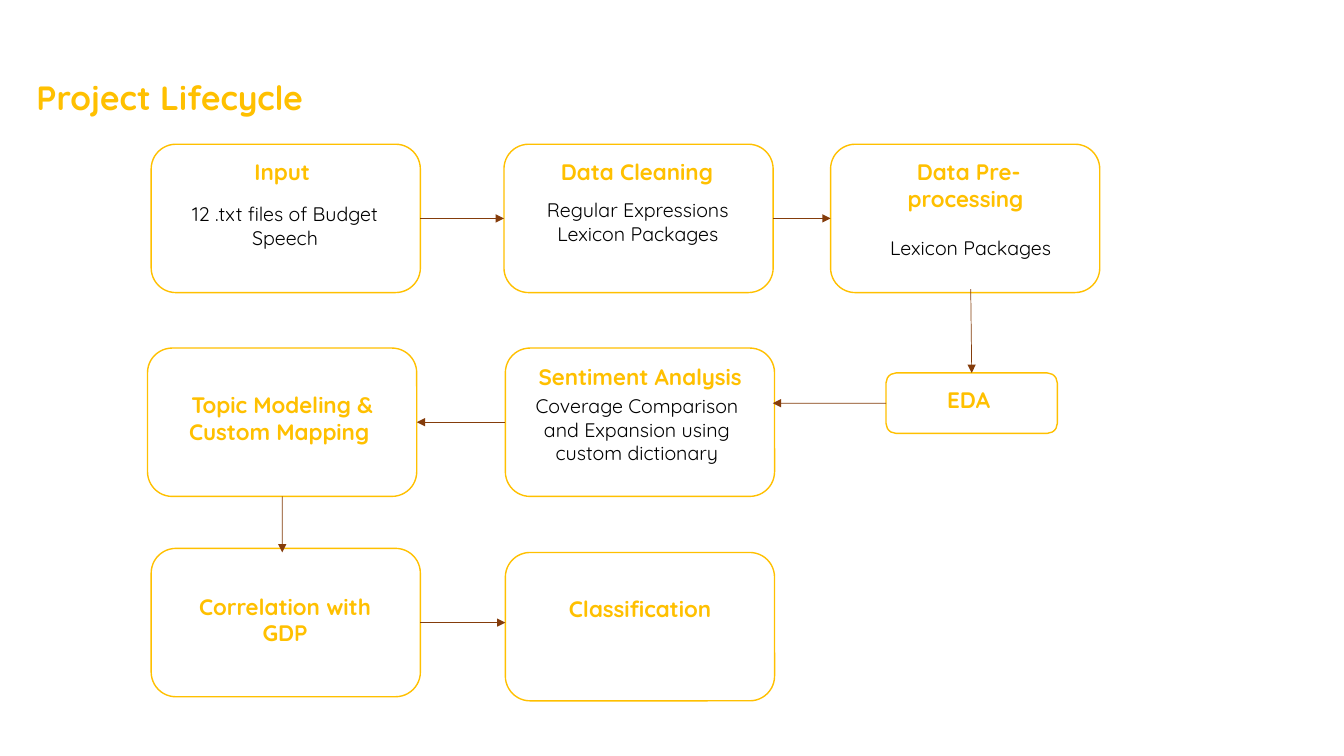
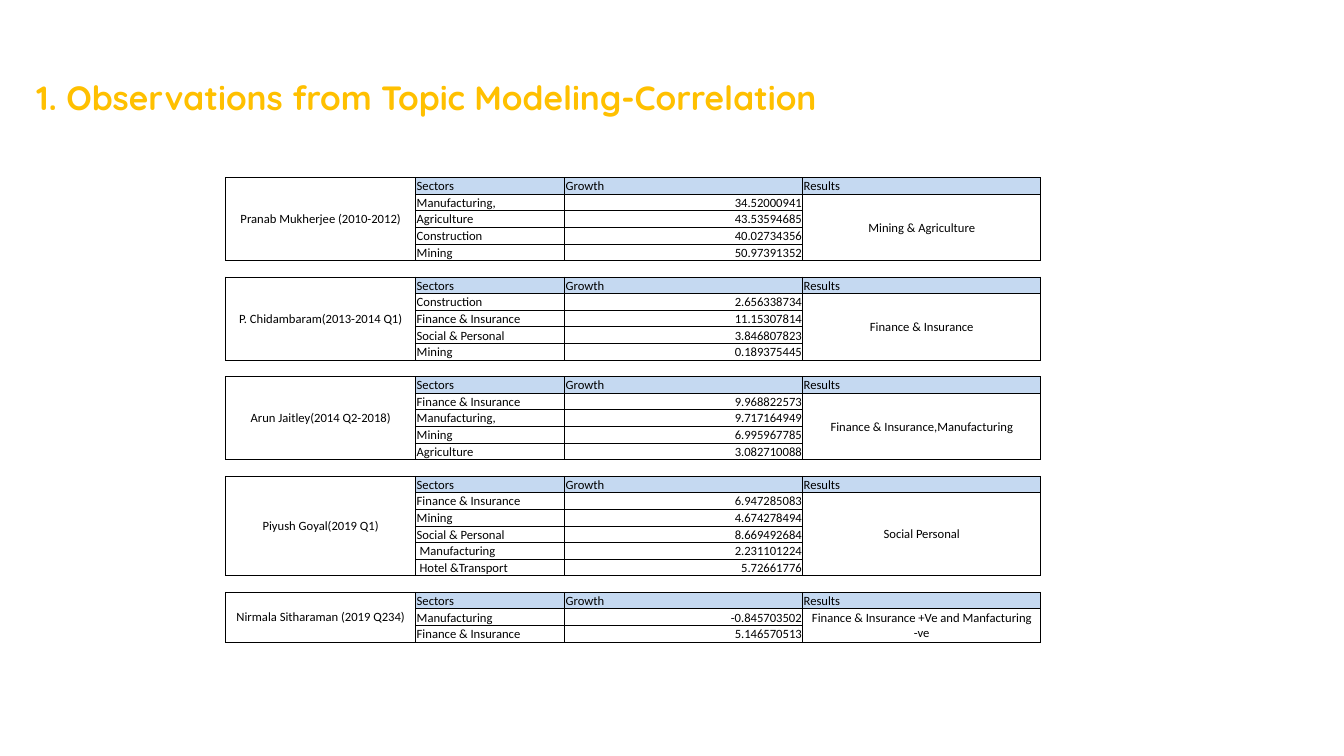
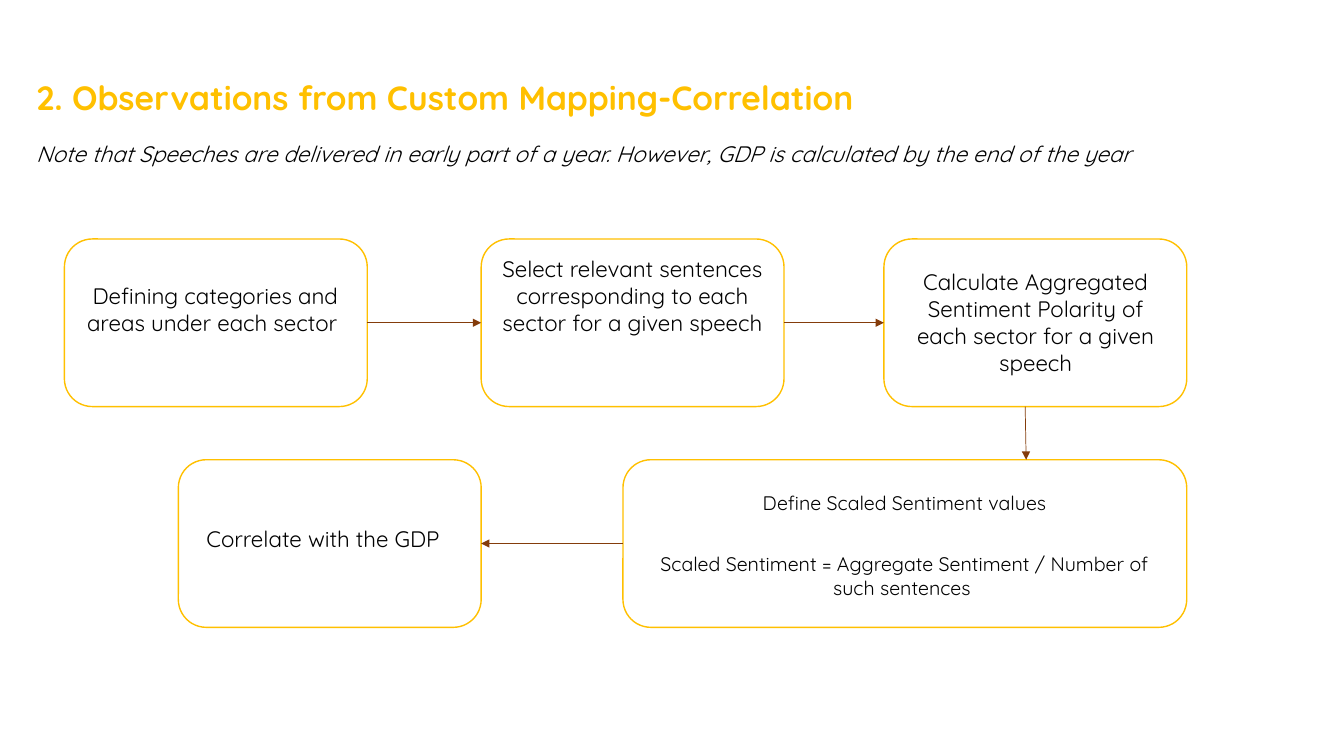
from dataclasses import dataclass

from lxml.etree import SubElement
from pptx import Presentation
from pptx.dml.color import RGBColor
from pptx.enum.shapes import MSO_CONNECTOR, MSO_SHAPE
from pptx.enum.text import MSO_ANCHOR, MSO_AUTO_SIZE, PP_ALIGN
from pptx.oxml.ns import qn
from pptx.util import Pt


@dataclass(frozen=True)
class Theme:
    gold: RGBColor = RGBColor(0xFF, 0xC0, 0x00)
    brown: RGBColor = RGBColor(0x84, 0x3C, 0x0B)
    black: RGBColor = RGBColor(0, 0, 0)
    header_blue: RGBColor = RGBColor(0xC5, 0xD9, 0xF1)
    font: str = "Quicksand"
    table_font: str = "Calibri"
    title_size: int = 24
    heading_size: int = 16
    body_size: int = 14
    table_size: int = 9


THEME = Theme()
TOP, LEFT, BOTTOM, RIGHT = range(4)  # connection sites of a box


class Deck:
    """Holds the style and the current slide."""

    def __init__(self, theme):
        self.theme = theme
        self.presentation = Presentation()
        self.presentation.slide_width = Pt(960)
        self.presentation.slide_height = Pt(540)
        self.slide = None

    def style(self, paragraph, size, color, align=PP_ALIGN.LEFT, bold=False,
              italic=False, font=None):
        paragraph.alignment = align
        paragraph.font.name = font or self.theme.font
        paragraph.font.size = Pt(size)
        paragraph.font.bold = bold
        paragraph.font.italic = italic
        paragraph.font.color.rgb = color

    def new_slide(self, heading):
        self.slide = self.presentation.slides.add_slide(
            self.presentation.slide_layouts[5])
        title = self.slide.shapes.title
        title.left, title.top, title.width, title.height = map(
            Pt, (18.7, 36.7, 732, 45.4))
        title.text_frame.text = heading
        title.text_frame.vertical_anchor = MSO_ANCHOR.TOP
        title.text_frame.auto_size = MSO_AUTO_SIZE.SHAPE_TO_FIT_TEXT
        paragraph = title.text_frame.paragraphs[0]
        paragraph.line_spacing = 1.5
        self.style(paragraph, self.theme.title_size, self.theme.gold, bold=True)

    def box(self, left, top, width, height):
        box = self.slide.shapes.add_shape(
            MSO_SHAPE.ROUNDED_RECTANGLE, *map(Pt, (left, top, width, height)))
        box.shadow.inherit = False
        box.fill.background()
        box.line.color.rgb = self.theme.gold
        box.line.width = Pt(1)
        return box

    def label(self, text, left, top, width, height, size, color=None,
              align=PP_ALIGN.CENTER, **emphasis):
        frame = self.slide.shapes.add_textbox(
            *map(Pt, (left, top, width, height))).text_frame
        frame.word_wrap = True
        frame.auto_size = MSO_AUTO_SIZE.SHAPE_TO_FIT_TEXT
        frame.text = text
        for paragraph in frame.paragraphs:
            self.style(paragraph, size, color or self.theme.black, align, **emphasis)

    def arrow(self, start, end):
        """Each end is either (box, site) or a point (x, y)."""
        arrow = self.slide.shapes.add_connector(MSO_CONNECTOR.STRAIGHT, 0, 0, 0, 0)
        if hasattr(start[0], "left"):
            arrow.begin_connect(*start)
        else:
            arrow.begin_x, arrow.begin_y = map(Pt, start)
        if hasattr(end[0], "left"):
            arrow.end_connect(*end)
        else:
            arrow.end_x, arrow.end_y = map(Pt, end)
        arrow.line.color.rgb = self.theme.brown
        arrow.line.width = Pt(0.5)
        SubElement(arrow.line._get_or_add_ln(), qn("a:tailEnd"), type="triangle")
        SubElement(arrow._element.spPr, qn("a:effectLst"))

    def table(self, left, top, widths, row_height, row_count):
        table = self.slide.shapes.add_table(
            row_count, len(widths), Pt(left), Pt(top), Pt(sum(widths)),
            Pt(row_height * row_count)).table
        table.first_row = table.horz_banding = False
        for column, width in zip(table.columns, widths):
            column.width = Pt(width)
        for row in table.rows:
            row.height = Pt(row_height)
            for cell in row.cells:
                self.cell(cell, sides="TB")
        return table

    def cell(self, cell, text="", align=PP_ALIGN.LEFT, anchor=MSO_ANCHOR.BOTTOM,
             fill=None, sides="LRTB"):
        cell.margin_left = cell.margin_right = cell.margin_top = Pt(0.7)
        cell.margin_bottom = 0
        cell.vertical_anchor = anchor
        self.borders(cell, sides)
        if fill:
            cell.fill.solid()
            cell.fill.fore_color.rgb = fill
        else:
            cell.fill.background()
        cell.text = text
        paragraph = cell.text_frame.paragraphs[0]
        self.style(paragraph, self.theme.table_size, self.theme.black, align,
                   font=self.theme.table_font)
        if not text:  # keeps an empty row as low as the others
            end_mark = paragraph._p.get_or_add_endParaRPr()
            end_mark.set("sz", str(self.theme.table_size * 100))

    def borders(self, cell, sides):
        properties = cell._tc.get_or_add_tcPr()
        for child in list(properties):
            properties.remove(child)
        for side in "LRTB":
            line = SubElement(properties, qn(f"a:ln{side}"), w=str(Pt(0.5)))
            if side in sides:
                paint = SubElement(line, qn("a:solidFill"))
                SubElement(paint, qn("a:srgbClr"), val=str(self.theme.black))
            else:
                SubElement(line, qn("a:noFill"))


# Project lifecycle: box, heading and body as (text, left, top, height)
STAGE_W, STAGE_H, STAGE_TEXT_W = 192.3, 106, 161.3
STAGES = {
    "input": ((108, 103, STAGE_W, STAGE_H),
              ("Input", 121, 109.4, 26.6),
              ("12 .txt files of Budget Speech", 123, 141, 41)),
    "cleaning": ((360, 103, STAGE_W, STAGE_H),
                 ("Data Cleaning ", 376.6, 109.4, 26.6),
                 ("Regular Expressions\nLexicon Packages", 375, 138.2, 41)),
    "preprocessing": ((593.3, 103, STAGE_W, STAGE_H),
                      ("Data Pre-processing ", 611.3, 109.4, 46),
                      ("Lexicon Packages", 612.7, 164.9, 24.5)),
    "eda": ((632.9, 266.4, 122.4, 43.2),
            ("EDA", 611.3, 272.2, 26.6), None),
    "sentiment": ((361, 248.6, STAGE_W, STAGE_H),
                  ("Sentiment Analysis", 376.6, 255.6, 26.6),
                  ("Coverage Comparison and Expansion using custom dictionary",
                   374.4, 277.9, 75)),
    "topics": ((105.4, 248.6, STAGE_W, STAGE_H),
               ("Topic Modeling & Custom Mapping ", 121, 275.8, 46), None),
    "correlation": ((108, 391.7, STAGE_W, STAGE_H),
                    ("Correlation with GDP", 123, 419.8, 46), None),
    "classification": ((361, 394.6, STAGE_W, STAGE_H),
                       ("Classification", 376.6, 421.9, 26.6), None),
}


def lifecycle_slide(deck):
    deck.new_slide("Project Lifecycle")
    stage = {}
    for name, (place, heading, body) in STAGES.items():
        stage[name] = deck.box(*place)
        text, left, top, height = heading
        deck.label(text, left, top, STAGE_TEXT_W, height,
                   THEME.heading_size, THEME.gold, bold=True)
        if body:
            text, left, top, height = body
            deck.label(text, left, top, STAGE_TEXT_W, height, THEME.body_size)

    for start, end in (
        ((stage["input"], RIGHT), (stage["cleaning"], LEFT)),
        ((stage["cleaning"], RIGHT), (stage["preprocessing"], LEFT)),
        ((693.4, 206.6), (stage["eda"], TOP)),
        ((stage["eda"], LEFT), (552, 288)),
        ((stage["sentiment"], LEFT), (stage["topics"], RIGHT)),
        ((stage["topics"], BOTTOM), (201.6, 394.6)),
        ((stage["correlation"], RIGHT), (361, 444.7)),
    ):
        deck.arrow(start, end)


# Topic modeling: speaker, result and growth by sector
SPEECHES = [
    ("Pranab Mukherjee (2010-2012)", "Mining & Agriculture",
     [("Manufacturing,", "34.52000941"), ("Agriculture", "43.53594685"),
      ("Construction", "40.02734356"), ("Mining", "50.97391352")]),
    ("P. Chidambaram(2013-2014 Q1)", "Finance & Insurance",
     [("Construction", "2.656338734"), ("Finance & Insurance", "11.15307814"),
      ("Social & Personal", "3.846807823"), ("Mining", "0.189375445")]),
    ("Arun Jaitley(2014 Q2-2018)", "Finance & Insurance,Manufacturing",
     [("Finance & Insurance", "9.968822573"), ("Manufacturing,", "9.717164949"),
      ("Mining", "6.995967785"), ("Agriculture", "3.082710088")]),
    ("Piyush Goyal(2019 Q1)", "Social Personal",
     [("Finance & Insurance", "6.947285083"), ("Mining", "4.674278494"),
      ("Social & Personal", "8.669492684"), (" Manufacturing", "2.231101224"),
      (" Hotel &Transport", "5.72661776")]),
    ("Nirmala Sitharaman (2019 Q234)",
     "Finance & Insurance +Ve and Manfacturing -ve",
     [("Manufacturing", "-0.845703502"), ("Finance & Insurance", "5.146570513")]),
]


def topic_slide(deck):
    deck.new_slide("1. Observations from Topic Modeling-Correlation")
    # One header row per speech and one empty row between speeches
    row_count = sum(len(sectors) + 2 for _, _, sectors in SPEECHES) - 1
    table = deck.table(161, 126.8, (136, 106.4, 170, 170), 11.86, row_count)
    centred = {"align": PP_ALIGN.CENTER, "anchor": MSO_ANCHOR.MIDDLE}
    header = 0
    for speaker, result, sectors in SPEECHES:
        last = header + len(sectors)
        for row in range(header, last + 1):
            for column in (0, 3):
                deck.cell(table.cell(row, column))
        for column, name in enumerate(("Sectors", "Growth", "Results"), 1):
            deck.cell(table.cell(header, column), name, fill=THEME.header_blue)
        for row, (sector, growth) in enumerate(sectors, header + 1):
            deck.cell(table.cell(row, 1), sector)
            deck.cell(table.cell(row, 2), growth, PP_ALIGN.RIGHT)
        for row, column, text in ((header, 0, speaker), (header + 1, 3, result)):
            deck.cell(table.cell(row, column), text, **centred)
            table.cell(row, column).merge(table.cell(last, column))
        header = last + 2


# Custom mapping: box and label places
STEP_W, STEP_H, STEP_TEXT_W = 216.3, 119.7, 202.3
UPPER, LOWER = 170.7, 328.4


def mapping_slide(deck):
    deck.new_slide("2. Observations from Custom Mapping-Correlation")
    deck.label("Note that Speeches are delivered in early part of a year. "
               "However, GDP is calculated by the end of the year",
               18.7, 96.5, 927.4, 26.6, THEME.heading_size,
               align=PP_ALIGN.LEFT, italic=True)

    define = deck.box(46, UPPER, STEP_W, STEP_H)
    select = deck.box(343.7, UPPER, STEP_W, STEP_H)
    deck.box(631.4, UPPER, STEP_W, STEP_H)
    scale = deck.box(445, LOWER, 402.7, STEP_H)
    correlate = deck.box(127.4, LOWER, STEP_W, STEP_H)

    for text, left, top, height in (
        ("Defining categories and areas under each sector ", 52.6, 198, 65.5),
        ("Select relevant sentences corresponding to each sector for a given "
         "speech", 350.6, 178.6, 104.4),
        ("Calculate Aggregated Sentiment Polarity of each sector for a given "
         "speech", 638.6, 188.2, 85),
        ("Correlate with the GDP ", 131.8, 371.5, 26.6),
    ):
        deck.label(text, left, top, STEP_TEXT_W, height, THEME.heading_size)
    deck.label("Define Scaled Sentiment values", 472.3, 347, 347.8, 24.5,
               THEME.body_size)
    deck.label("Scaled Sentiment = Aggregate Sentiment / Number of such sentences ",
               455, 391, 382.3, 41, THEME.body_size)

    deck.arrow((define, RIGHT), (select, LEFT))
    deck.arrow((select, RIGHT), (631.4, 230.55))
    deck.arrow((732.3, 290.5), (733, LOWER))
    deck.arrow((scale, LEFT), (correlate, RIGHT))


def main():
    deck = Deck(THEME)
    lifecycle_slide(deck)
    topic_slide(deck)
    mapping_slide(deck)
    deck.presentation.save("out.pptx")


if __name__ == "__main__":
    main()
